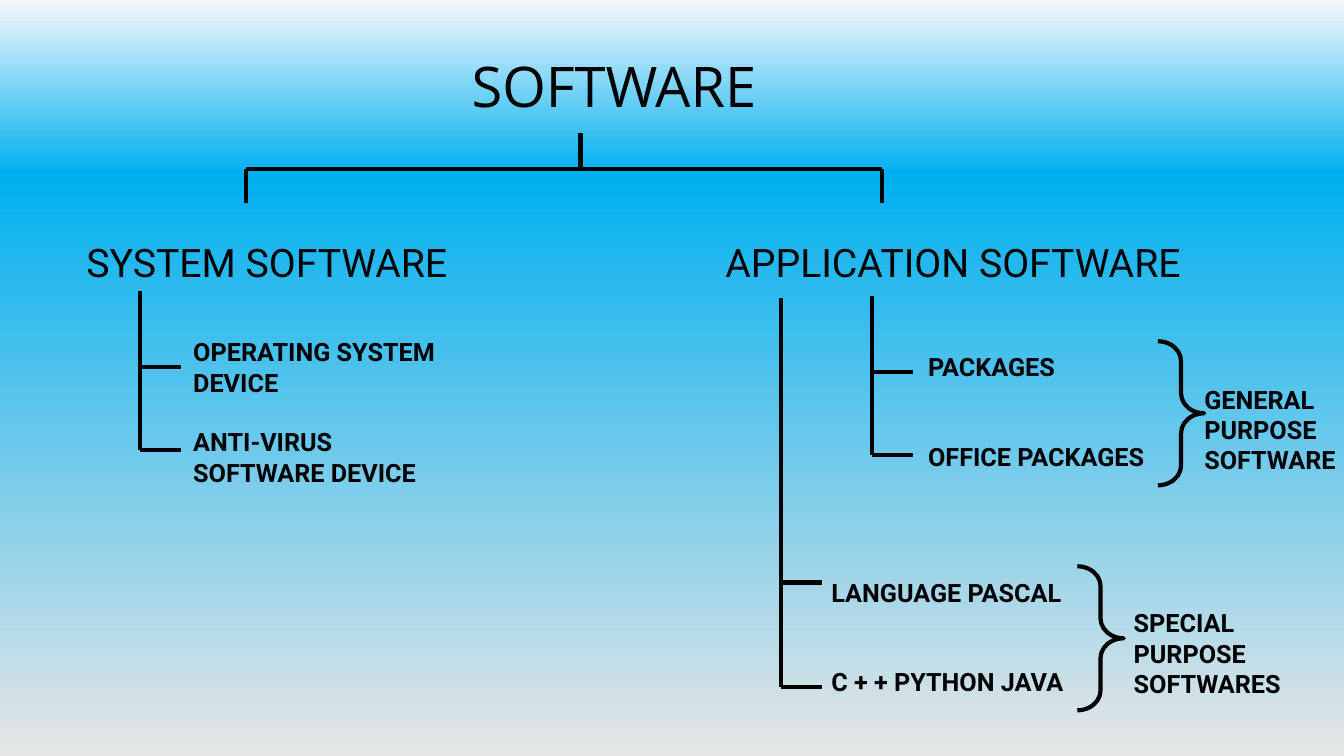
from copy import deepcopy
from dataclasses import dataclass

from lxml.etree import SubElement
from pptx import Presentation
from pptx.dml.color import RGBColor
from pptx.enum.shapes import MSO_CONNECTOR, MSO_SHAPE
from pptx.enum.text import MSO_ANCHOR, MSO_AUTO_SIZE, PP_ALIGN
from pptx.oxml.ns import qn
from pptx.util import Cm, Pt


@dataclass(frozen=True)
class Theme:
    """Colours, fonts and sizes of the slide."""
    ink: RGBColor = RGBColor(0, 0, 0)
    gradient: tuple = ((0, "F6F8FC"), (0.23, "00B0F0"), (1, "E7E6E6"))
    title: tuple = (("name", "Open Sans"), ("size", Pt(40)), ("bold", False))
    heading: tuple = (("name", "Roboto"), ("size", Pt(28)), ("bold", False))
    label: tuple = (("name", "Roboto"), ("size", Pt(18)), ("bold", True))
    stroke: Pt = Pt(3)


THEME = Theme()


def apply_format(target, values):
    """Set each attribute of the target from a dict."""
    for name, value in values.items():
        setattr(target, name, value)


def paint_background(page):
    """Fill the page with the vertical three-stop gradient."""
    fill = page.background.fill
    fill.gradient()
    fill.gradient_angle = 270
    stop_list = page.element.find(".//" + qn("a:gsLst"))
    stop_list.append(deepcopy(stop_list[-1]))
    for stop, (position, colour) in zip(fill.gradient_stops, THEME.gradient):
        stop.position = position
        stop.color.rgb = RGBColor.from_string(colour)


def write_text(box, frame, lines, font, gap=0):
    """Place a box and write its lines, with a gap in points between them."""
    apply_format(box, dict(zip(("left", "top", "width", "height"), map(Cm, frame))))
    text = box.text_frame
    apply_format(text, {"word_wrap": True, "vertical_anchor": MSO_ANCHOR.TOP,
                        "auto_size": MSO_AUTO_SIZE.SHAPE_TO_FIT_TEXT})
    for index, line in enumerate(lines):
        para = text.add_paragraph() if index else text.paragraphs[0]
        apply_format(para, {"alignment": PP_ALIGN.LEFT, "line_spacing": 1.0,
                            "space_before": Pt(gap if index else 0)})
        span = para.add_run()
        span.text = line
        apply_format(span.font, dict(font))
        span.font.color.rgb = THEME.ink


def add_text(page, frame, lines, font, gap=0):
    """Add a text box with the given lines."""
    box = page.shapes.add_textbox(0, 0, 0, 0)
    write_text(box, frame, lines, font, gap)


def ink_line(shape):
    """Give a shape or connector the common stroke."""
    shape.line.color.rgb = THEME.ink
    shape.line.width = THEME.stroke


def add_line(page, *ends):
    """Draw a straight line without shadow."""
    line = page.shapes.add_connector(MSO_CONNECTOR.STRAIGHT, *map(Cm, ends))
    ink_line(line)
    SubElement(line.element.spPr, qn("a:effectLst"))


def add_fork(page, stem, top, bar, bottom, ends):
    """Draw a stem that splits into a drop at each end."""
    add_line(page, stem, top, stem, bar)
    for end in ends:
        add_line(page, stem, bar, end, bar)
        add_line(page, end, bar, end, bottom)


def add_comb(page, spine, top, ticks, length=1.03):
    """Draw a spine with a tick to the right at each height."""
    add_line(page, spine, top, spine, ticks[-1])
    for tick in ticks:
        add_line(page, spine, tick, spine + length, tick)


def add_brace(page, left, top):
    """Draw a right brace that gathers two labels."""
    brace = page.shapes.add_shape(
        MSO_SHAPE.RIGHT_BRACE, *map(Cm, (left, top, 1.17, 3.63)))
    brace.shadow.inherit = False
    brace.adjustments[0] = 0.428
    brace.fill.background()
    ink_line(brace)


def main():
    """Build the software tree and save it."""
    deck = Presentation()
    apply_format(deck, {"slide_width": Cm(33.87), "slide_height": Cm(19.05)})
    page = deck.slides.add_slide(deck.slide_layouts[5])
    paint_background(page)

    write_text(page.shapes.title, (11.63, 1.17, 7.72, 1.96), ["SOFTWARE"], THEME.title)
    add_fork(page, 14.63, 3.35, 4.26, 5.11, (6.2, 22.22))

    for left, heading in ((1.93, "SYSTEM SOFTWARE"), (18.03, "APPLICATION SOFTWARE")):
        add_text(page, (left, 5.88, 12.14, 1.45), [heading], THEME.heading)

    for spine, top, ticks in ((3.53, 7.34, (9.25, 11.33)),
                              (21.97, 7.47, (9.37, 11.46)),
                              (19.69, 7.52, (14.68, 17.32))):
        add_comb(page, spine, top, ticks)

    for left, top, height, lines, gap in (
            (4.62, 8.36, 4.11, ["OPERATING SYSTEM DEVICE",
                                "ANTI-VIRUS SOFTWARE DEVICE"], 21),
            (23.14, 8.74, 4.88, ["PACKAGES", "OFFICE PACKAGES"], 42),
            (20.7, 14.43, 3.33, ["LANGUAGE PASCAL", "C + + PYTHON JAVA"], 42)):
        add_text(page, (left, top, 7.01, height), lines, THEME.label, gap)

    for brace_left, brace_top, left, top, width, purpose in (
            (29.18, 8.6, 30.1, 9.55, 4.19, "GENERAL PURPOSE SOFTWARE"),
            (27.15, 14.27, 28.32, 15.19, 5.23, "SPECIAL PURPOSE SOFTWARES")):
        add_brace(page, brace_left, brace_top)
        add_text(page, (left, top, width, 2.57), [purpose], THEME.label)

    deck.save("out.pptx")


if __name__ == "__main__":
    main()
